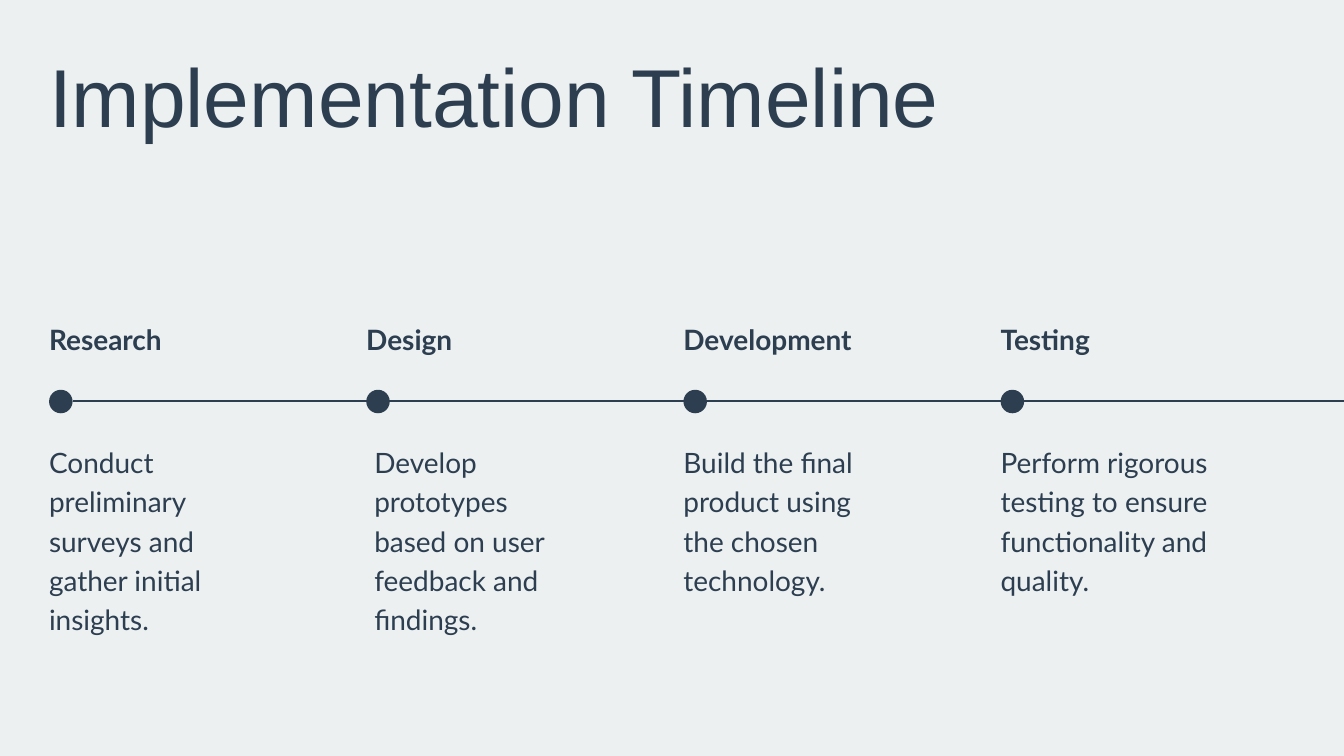
from lxml.etree import SubElement
from pptx import Presentation
from pptx.dml.color import RGBColor
from pptx.enum.shapes import MSO_CONNECTOR, MSO_SHAPE
from pptx.oxml.ns import qn
from pptx.util import Pt

PX = 9144  # 100 px to the inch
NAVY = RGBColor(0x2C, 0x3E, 0x50)
PALE = RGBColor(0xEC, 0xF0, 0xF1)

# heading, description, indent of the description
STAGES = [
    ("Research", "Conduct preliminary surveys and gather initial insights.", 0),
    ("Design", "Develop prototypes based on user feedback and findings.", 12),
    ("Development", "Build the final product using the chosen technology.", 0),
    ("Testing", "Perform rigorous testing to ensure functionality and quality.", 0),
]
PITCH = 472
DOT = 35
AXIS_Y = 117  # centre of the line, below the top of the timeline


def px(*lengths):
    return [n * PX for n in lengths]


def add_text(s, text, x, y, w, h, *, size=30, leading=42, font="Lato", bold=False):
    tf = s.shapes.add_textbox(*px(x, y, w, h)).text_frame
    tf.word_wrap = True
    tf.margin_left = tf.margin_top = tf.margin_right = tf.margin_bottom = 0
    p = tf.paragraphs[0]
    p.line_spacing = Pt(leading)
    r = p.add_run()
    r.text = text
    r.font.name, r.font.size, r.font.bold = font, Pt(size), bold
    r.font.color.rgb = NAVY


def add_axis(s, x, y, end):
    line = s.shapes.add_connector(MSO_CONNECTOR.STRAIGHT, *px(x, y, end, y))
    line.line.color.rgb = NAVY
    line.line.width = Pt(1.5)
    SubElement(line._element.spPr, qn("a:effectLst"))


def add_stage(s, x, y, w, heading, description, indent):
    add_text(s, heading, x, y, w, 51, leading=36, bold=True)
    dot = s.shapes.add_shape(MSO_SHAPE.OVAL, *px(x, y + AXIS_Y - DOT // 2, DOT, DOT))
    dot.shadow.inherit = False
    dot.fill.solid()
    dot.fill.fore_color.rgb = NAVY
    dot.line.fill.background()
    add_text(s, description, x + indent, y + 175, w, 291)


def add_timeline(s, x, y, end):
    """Draw the stages at equal steps along a line that bleeds off the right edge."""
    add_axis(s, x + DOT, y + AXIS_Y, end)
    for i, stage in enumerate(STAGES):
        add_stage(s, x + i * PITCH, y, 313, *stage)


def main():
    prs = Presentation()
    prs.slide_width, prs.slide_height = px(2000, 1125)
    s = prs.slides.add_slide(prs.slide_layouts[6])
    s.background.fill.solid()
    s.background.fill.fore_color.rgb = PALE
    add_text(s, "Implementation Timeline", 73, 92, 1540, 128,
             size=88, leading=88, font="Arial")
    add_timeline(s, 73, 480, 2034)
    prs.save("out.pptx")


if __name__ == "__main__":
    main()
